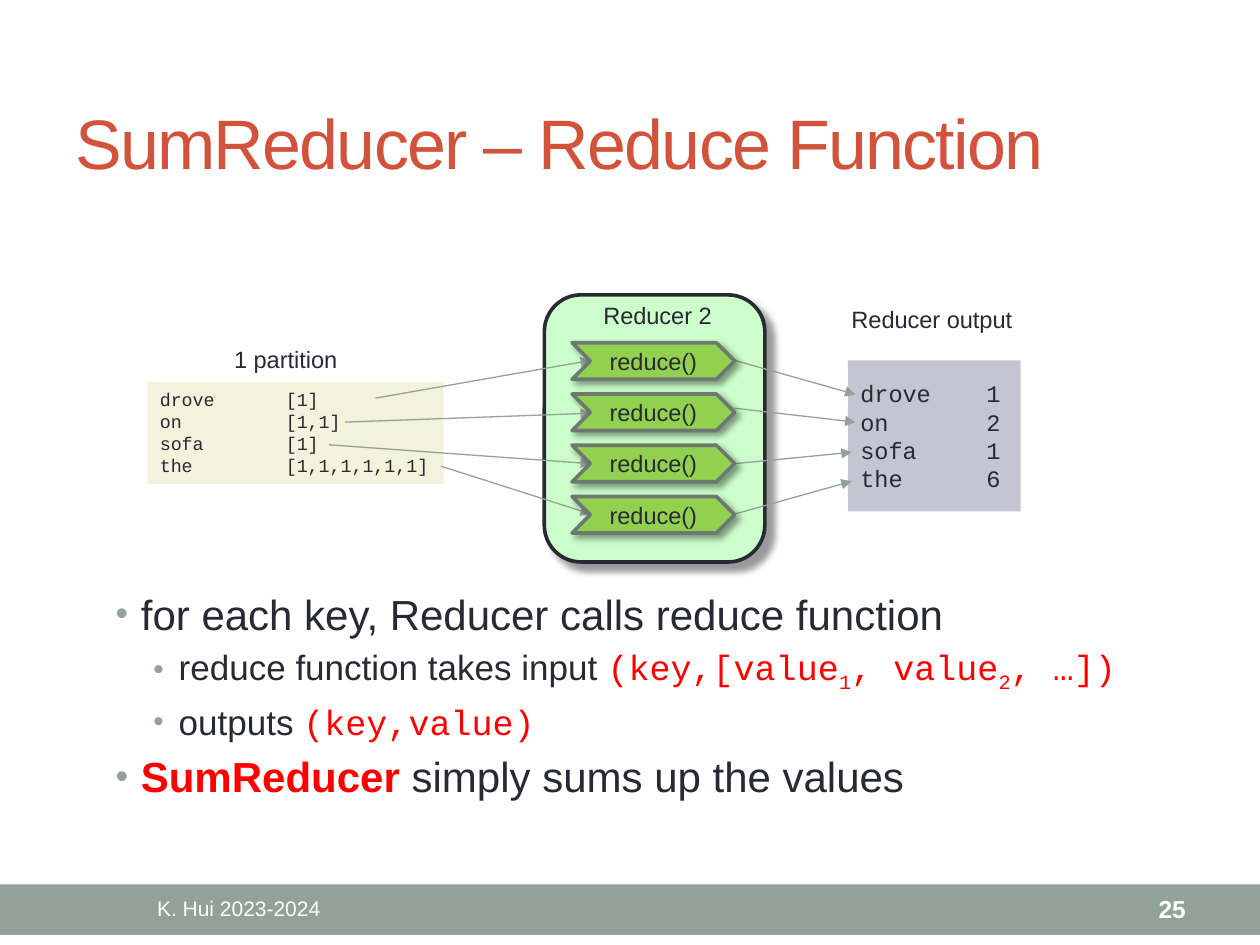
from lxml import etree
from pptx import Presentation
from pptx.dml.color import RGBColor
from pptx.enum.shapes import MSO_CONNECTOR, MSO_SHAPE as SHAPE
from pptx.enum.text import MSO_ANCHOR as ANCHOR, PP_ALIGN as ALIGN
from pptx.oxml import parse_xml
from pptx.oxml.ns import nsdecls, qn
from pptx.util import Inches, Pt

INK, SAGE, RED, WHITE = "292934", "93A299", "FF0000", "FFFFFF"
SANS, MONO = "Arial", "Courier New"
rgb = RGBColor.from_string

prs = Presentation()
prs.slide_width, prs.slide_height = Inches(10), Inches(7.5)
shapes = prs.slides.add_slide(prs.slide_layouts[6]).shapes


def add_block(box, kind=None, fill=None, line=None, shadow=None):
    """Add a text box, or a filled shape when a kind is given."""
    place = [Inches(v) for v in box]
    if kind is None:
        return shapes.add_textbox(*place)
    block = shapes.add_shape(kind, *place)
    block.fill.solid()
    block.fill.fore_color.rgb = rgb(fill)
    block.shadow.inherit = False
    if line:
        block.line.color.rgb = rgb(line)
        block.line.width = Pt(2.08)
    else:
        block.line.fill.background()
    if shadow:
        block._element.spPr.find(qn("a:effectLst")).append(parse_xml(
            f'<a:outerShdw {nsdecls("a")} blurRad="{Pt(4)}" dist="{Pt(shadow)}" '
            'dir="2700000" algn="tl" rotWithShape="0"><a:srgbClr val="000000">'
            '<a:alpha val="40000"/></a:srgbClr></a:outerShdw>'))
    return block


def write(block, paragraphs, size, color=INK, font=SANS, bold=False,
          align=ALIGN.LEFT, anchor=ANCHOR.TOP, wrap=True, tab=None):
    """Write paragraphs of plain text."""
    frame = block.text_frame
    frame.word_wrap, frame.vertical_anchor = wrap, anchor
    for i, text in enumerate(paragraphs):
        paragraph = frame.paragraphs[0] if i == 0 else frame.add_paragraph()
        paragraph.alignment = align
        if tab:
            paragraph._p.get_or_add_pPr().append(parse_xml(
                f'<a:tabLst {nsdecls("a")}><a:tab pos="{Inches(tab)}" algn="l"/></a:tabLst>'))
        run = paragraph.add_run()
        run.text = text
        run.font.size, run.font.name, run.font.bold = Pt(size), font, bold
        run.font.color.rgb = rgb(color)
    return block


# Footer band
add_block((0, 7.02, 10, 0.4), SHAPE.RECTANGLE, SAGE)
write(add_block((0.5, 7.03, 2.79, 0.36)), ["K. Hui 2023-2024"], 12, WHITE,
      align=ALIGN.CENTER, anchor=ANCHOR.MIDDLE)
write(add_block((8.34, 7.03, 1.17, 0.36)), ["25"], 14, WHITE, bold=True,
      align=ALIGN.RIGHT, anchor=ANCHOR.MIDDLE)

# Title
title = write(add_block((0.5, 0.58, 9, 1.08)), ["SumReducer – Reduce Function"],
              40, "D2533C", anchor=ANCHOR.MIDDLE)
title.text_frame.paragraphs[0].runs[0]._r.get_or_add_rPr().set("spc", "-100")

# Partition, reducer and output panels
add_block((4.32, 2.34, 1.75, 2.12), SHAPE.ROUNDED_RECTANGLE, "CCFFCC", INK, shadow=6)
write(add_block((1.17, 3.03, 2.35, 0.81), SHAPE.RECTANGLE, "F3F2DC"),
      ["drove\t[1]", "on\t[1,1]", "sofa\t[1]", "the\t[1,1,1,1,1,1]"],
      10.5, font=MONO, wrap=False, tab=1)
write(add_block((6.73, 2.86, 1.37, 1.2), SHAPE.RECTANGLE, "C5C5D1"),
      ["drove\t1", "on\t2", "sofa\t1", "the\t6"],
      13.5, font=MONO, anchor=ANCHOR.MIDDLE, tab=1)
for label, box in [("1 partition", (1.76, 2.69, 1.03, 0.33)),
                   ("Reducer 2", (4.69, 2.34, 1.07, 0.33)),
                   ("Reducer output", (6.66, 2.37, 1.5, 0.33))]:
    write(add_block(box), [label], 13.5, wrap=False)

# Arrows into and out of each reduce call
NOTCH_X, TIP_X = 4.69, 5.83
flows = [  # input start, call y, output start y, output end
    ((2.98, 3.16), 2.86, 2.86, (6.79, 3.13)),
    ((2.74, 3.35), 3.28, 3.24, (6.79, 3.35)),
    ((2.61, 3.53), 3.68, 3.68, (6.76, 3.59)),
    ((3.5, 3.7), 4.08, 4.08, (6.76, 3.82)),
]
for source, call_y, leave_y, result in flows:
    for start, end in [(source, (NOTCH_X, call_y)), ((TIP_X, leave_y), result)]:
        arrow = shapes.add_connector(MSO_CONNECTOR.STRAIGHT,
                                     *[Inches(v) for v in start + end])
        arrow.line.color.rgb = rgb(SAGE)
        arrow.line.width = Pt(0.75)
        etree.SubElement(arrow.line._get_or_add_ln(), qn("a:tailEnd"), type="triangle")
        etree.SubElement(arrow._element.spPr, qn("a:effectLst"))

# Reduce calls, evenly spaced
first_top, last_top = 2.72, 3.94
for i in range(len(flows)):
    top = first_top + i * (last_top - first_top) / (len(flows) - 1)
    call = add_block((4.54, top, 1.29, 0.29), SHAPE.CHEVRON, "92D050", "6D7871", shadow=3)
    write(call, ["reduce()"], 13.5, align=ALIGN.CENTER, anchor=ANCHOR.MIDDLE, wrap=False)

# Bulleted explanation: level, then runs of text, font, colour, bold, subscript
points = [
    (0, [("for each key, Reducer calls reduce function", SANS, INK, False, False)]),
    (1, [("reduce function takes input ", SANS, INK, False, False),
         ("(key,[value", MONO, RED, False, False),
         ("1", MONO, RED, False, True),
         (", value", MONO, RED, False, False),
         ("2", MONO, RED, False, True),
         (", …])", MONO, RED, False, False)]),
    (1, [("outputs ", SANS, INK, False, False),
         ("(key,value)", MONO, RED, False, False)]),
    (0, [("SumReducer", SANS, RED, True, False),
         (" simply sums up the values", SANS, INK, False, False)]),
]
body = add_block((0.82, 4.62, 8.36, 2.12)).text_frame
body.word_wrap = True
for i, (level, runs) in enumerate(points):
    paragraph = body.paragraphs[0] if i == 0 else body.add_paragraph()
    paragraph.level = level
    props = paragraph._p.get_or_add_pPr()
    props.set("marL", str(Inches((0.2, 0.5)[level])))
    props.set("indent", str(Inches(-0.2)))
    spacing = etree.SubElement(props, qn("a:spcBef"))
    etree.SubElement(spacing, qn("a:spcPct"), val="20000")
    bullet_color = etree.SubElement(props, qn("a:buClr"))
    etree.SubElement(bullet_color, qn("a:srgbClr"), val=SAGE)
    etree.SubElement(props, qn("a:buSzPct"), val="85000")
    etree.SubElement(props, qn("a:buFont"), typeface=SANS)
    etree.SubElement(props, qn("a:buChar"), char="•")
    for text, font, color, bold, subscript in runs:
        run = paragraph.add_run()
        run.text = text
        run.font.size, run.font.name, run.font.bold = Pt((24, 20)[level]), font, bold
        run.font.color.rgb = rgb(color)
        if subscript:
            run._r.get_or_add_rPr().set("baseline", "-25000")

prs.save("out.pptx")
